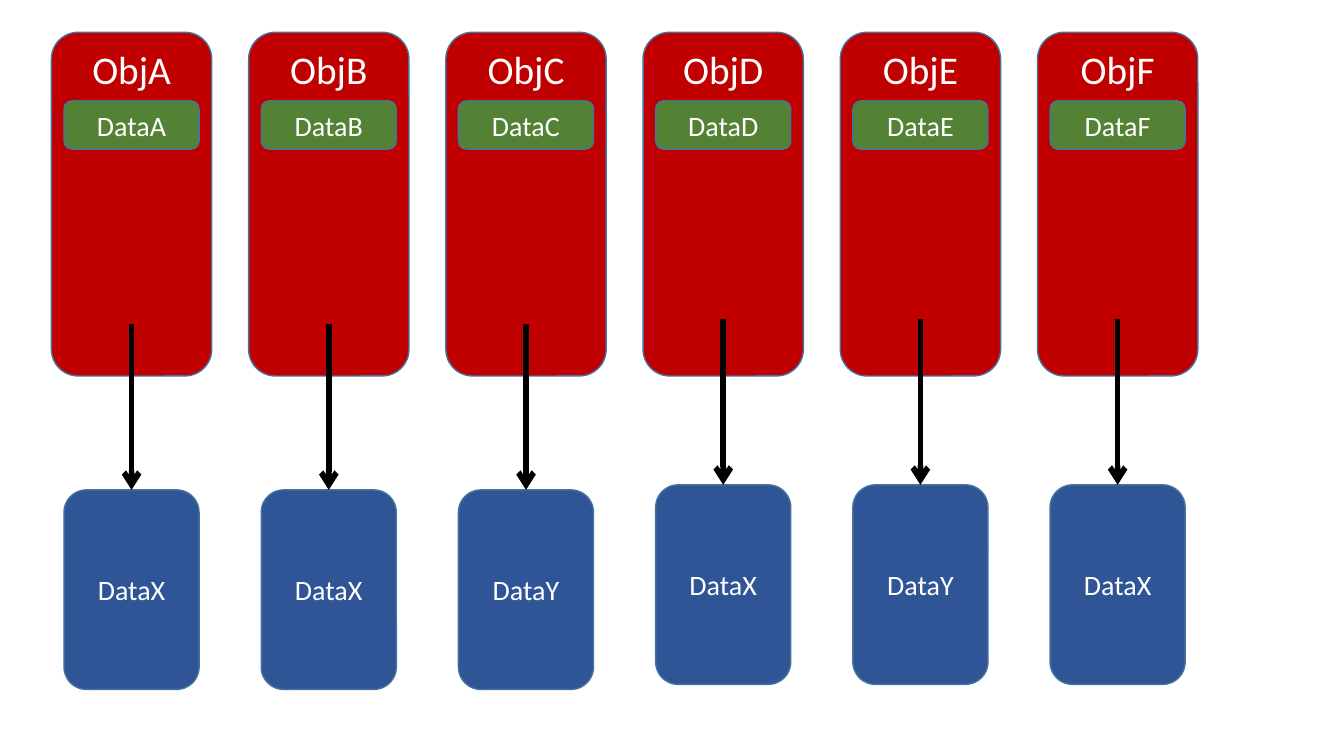
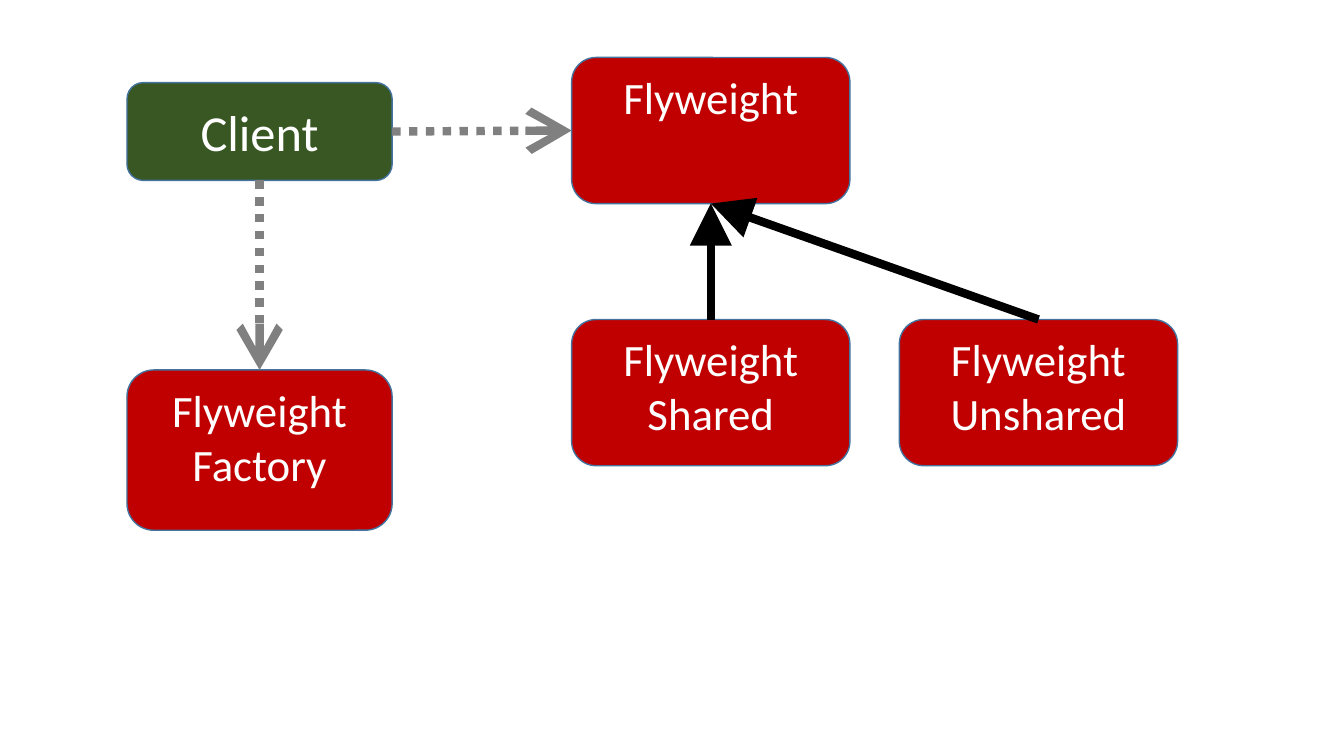
import dataclasses

import pptx
import pptx.dml.color
import pptx.enum.dml
import pptx.enum.shapes
import pptx.enum.text
import pptx.oxml
import pptx.oxml.ns
import pptx.util

Inches = pptx.util.Inches
Pt = pptx.util.Pt
ANCHOR = pptx.enum.text.MSO_ANCHOR
TOP, LEFT, BOTTOM, RIGHT = range(4)

OBJECTS = [
    ("A", "DataX", 4.86),
    ("B", "DataX", 4.86),
    ("C", "DataY", 4.86),
    ("D", "DataX", 4.81),
    ("E", "DataY", 4.81),
    ("F", "DataX", 4.81),
]

CLASSES = {
    "flyweight": (["Flyweight"], (5.67, 0.57, 2.76, 1.45)),
    "factory": (["Flyweight", "Factory"], (1.26, 3.67, 2.63, 1.59)),
    "shared": (["Flyweight", "Shared"], (5.67, 3.17, 2.76, 1.45)),
    "unshared": (["Flyweight", "Unshared"], (8.92, 3.17, 2.76, 1.45)),
}
CLIENT = (["Client"], (1.26, 0.82, 2.63, 0.97))
USES = [
    ("client", RIGHT, "flyweight", LEFT),
    ("client", BOTTOM, "factory", TOP),
]
INHERITS = [
    ("shared", TOP, "flyweight", BOTTOM),
    ("unshared", TOP, "flyweight", BOTTOM),
]


@dataclasses.dataclass(frozen=True)
class Theme:
    font: str = "Calibri"
    text: str = "FFFFFF"
    outline: str = "43739E"
    red: str = "C00000"
    green: str = "548235"
    dark_green: str = "385723"
    blue: str = "2F5597"
    black: str = "000000"
    grey: str = "808080"
    data_size: int = 20
    object_size: int = 28
    class_size: int = 32
    client_size: int = 36
    outline_width: int = 1
    pointer_width: int = 4
    relation_width: int = 6


THEME = Theme()


def rgb(value):
    return pptx.dml.color.RGBColor.from_string(value)


def write_text(frame, lines, *, size, anchor=ANCHOR.TOP):
    frame.word_wrap = True
    frame.vertical_anchor = anchor
    for index, line in enumerate(lines):
        paragraph = frame.paragraphs[0] if index == 0 else frame.add_paragraph()
        paragraph.alignment = pptx.enum.text.PP_ALIGN.CENTER
        run = paragraph.add_run()
        run.text = line
        run.font.name = THEME.font
        run.font.size = Pt(size)
        run.font.color.rgb = rgb(THEME.text)


def add_box(slide, lines, place, *, fill, **text_format):
    box = slide.shapes.add_shape(
        pptx.enum.shapes.MSO_SHAPE.ROUNDED_RECTANGLE, *map(Inches, place)
    )
    box.shadow.inherit = False
    box.fill.solid()
    box.fill.fore_color.rgb = rgb(fill)
    box.line.color.rgb = rgb(THEME.outline)
    box.line.width = Pt(THEME.outline_width)
    write_text(box.text_frame, lines, **text_format)
    return box


def add_arrow(slide, start, end, *, color, width, head, head_size="med", dash=None):
    arrow = slide.shapes.add_connector(
        pptx.enum.shapes.MSO_CONNECTOR.STRAIGHT, 0, 0, 0, 0
    )
    origin, position = start
    if isinstance(origin, float):
        arrow.begin_x, arrow.begin_y = Inches(origin), Inches(position)
    else:
        arrow.begin_connect(origin, position)
    arrow.end_connect(*end)
    arrow.line.color.rgb = rgb(color)
    arrow.line.width = Pt(width)
    if dash:
        arrow.line.dash_style = dash
    properties = arrow._element.spPr
    line = properties.find(pptx.oxml.ns.qn("a:ln"))
    namespace = pptx.oxml.ns.nsdecls("a")
    line.append(pptx.oxml.parse_xml(
        f'<a:tailEnd {namespace} type="{head}" w="{head_size}" len="{head_size}"/>'
    ))
    properties.append(pptx.oxml.parse_xml(f"<a:effectLst {namespace}/>"))


def build_objects(slide):
    first_left, last_left = 0.51, 10.29
    object_width, data_width = 1.59, 1.34
    pitch = (last_left - first_left) / (len(OBJECTS) - 1)
    pointer_length = 1.65
    pointers = []
    for column, (letter, shared_data, shared_top) in enumerate(OBJECTS):
        left = first_left + column * pitch
        data_left = left + (object_width - data_width) / 2
        add_box(slide, [f"Obj{letter}"], (left, 0.32, object_width, 3.41),
                fill=THEME.red, size=THEME.object_size)
        add_box(slide, [f"Data{letter}"], (data_left, 1, data_width, 0.48),
                fill=THEME.green, size=THEME.data_size)
        shared = add_box(slide, [shared_data], (data_left, shared_top, data_width, 1.98),
                         fill=THEME.blue, size=THEME.data_size, anchor=ANCHOR.MIDDLE)
        start = (left + object_width / 2, shared_top - pointer_length)
        pointers.append((start, (shared, TOP)))
    for start, end in pointers:
        add_arrow(slide, start, end, color=THEME.black,
                  width=THEME.pointer_width, head="arrow")


def build_classes(slide):
    boxes = {
        name: add_box(slide, lines, place, fill=THEME.red, size=THEME.class_size)
        for name, (lines, place) in CLASSES.items()
    }
    boxes["client"] = add_box(slide, *CLIENT, fill=THEME.dark_green,
                              size=THEME.client_size, anchor=ANCHOR.MIDDLE)
    dotted = pptx.enum.dml.MSO_LINE.ROUND_DOT
    for relations, style in (
        (USES, {"color": THEME.grey, "head": "arrow", "dash": dotted}),
        (INHERITS, {"color": THEME.black, "head": "triangle"}),
    ):
        for source, source_side, target, target_side in relations:
            add_arrow(slide, (boxes[source], source_side), (boxes[target], target_side),
                      width=THEME.relation_width, head_size="lg", **style)


def main():
    deck = pptx.Presentation()
    deck.slide_width, deck.slide_height = Inches(13.33), Inches(7.5)
    blank = deck.slide_layouts[6]
    for build in (build_objects, build_classes):
        build(deck.slides.add_slide(blank))
    deck.save("out.pptx")


if __name__ == "__main__":
    main()
